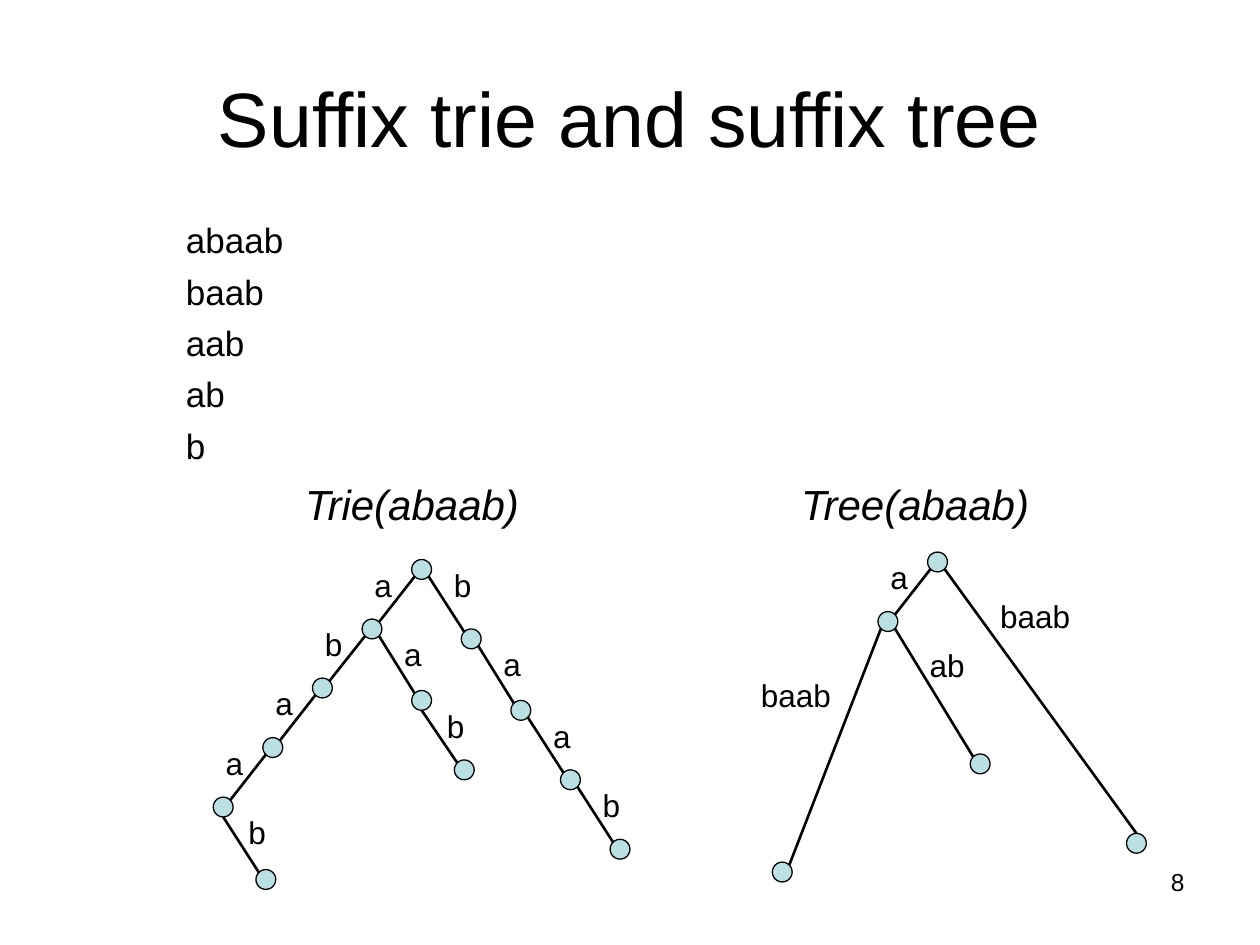
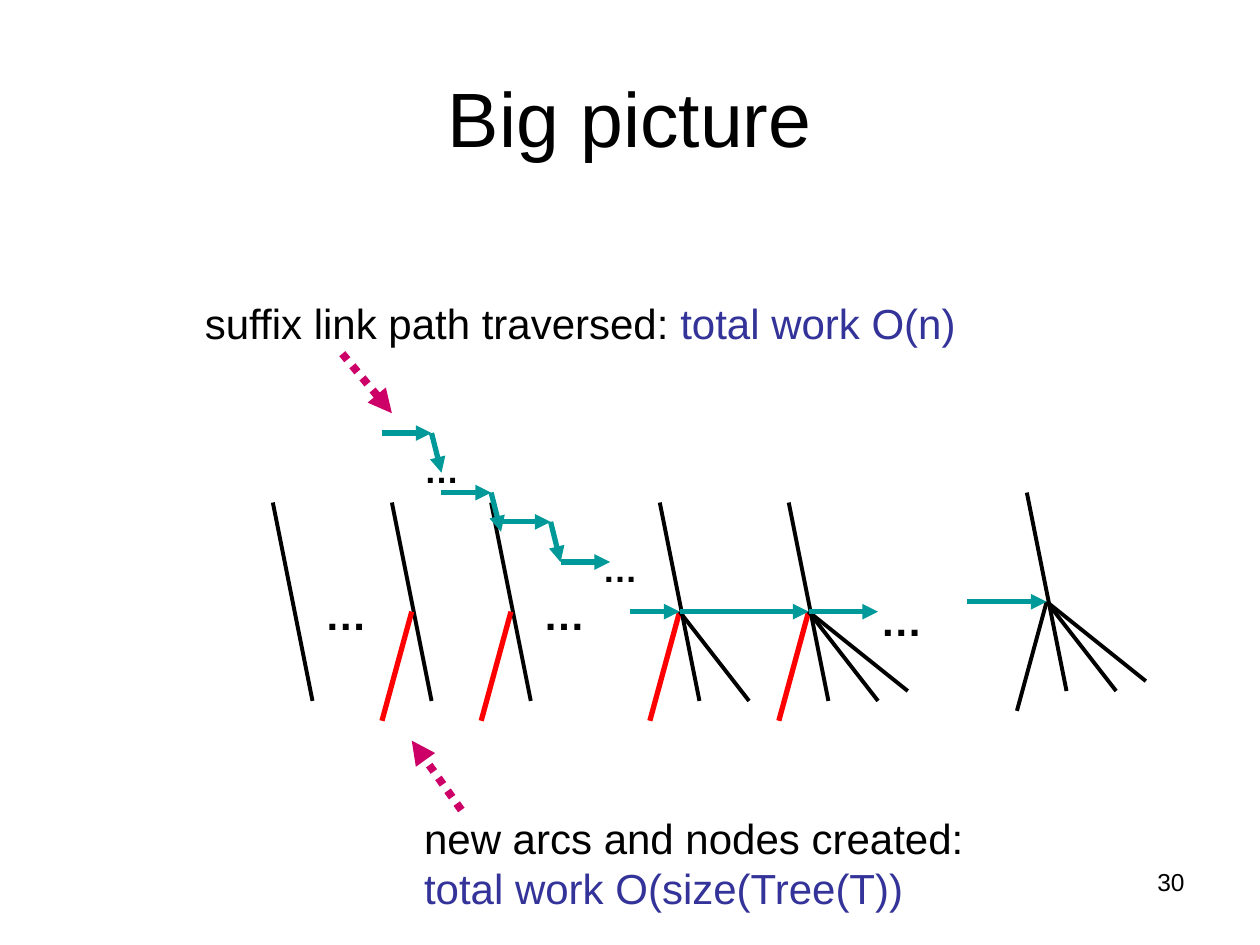
from dataclasses import dataclass
from itertools import pairwise

from lxml.etree import SubElement
from pptx import Presentation
from pptx.dml.color import RGBColor
from pptx.enum.dml import MSO_LINE
from pptx.enum.shapes import MSO_CONNECTOR, MSO_SHAPE
from pptx.enum.text import MSO_ANCHOR, PP_ALIGN
from pptx.oxml.ns import qn
from pptx.util import Cm, Pt


@dataclass(frozen=True)
class Theme:
    font: str = "Arial"
    ink: str = "000000"
    node: str = "BBE0E3"
    new_arc: str = "FF0000"
    suffix_link: str = "009999"
    pointer: str = "CC0066"
    cost: str = "333399"
    title_size: int = 44
    heading_size: int = 24
    list_size: int = 20
    label_size: int = 18
    number_size: int = 14


THEME = Theme()

# All lengths are in centimetres.
SLIDE_SIZE = (25.4, 19.05)
TITLE_PLACE = (1.27, 0.76, 22.86, 3.18)
NUMBER_PLACE = (18.21, 17.35, 5.92, 1.32)

SUFFIXES = ["abaab", "baab", "aab", "ab", "b"]
SUFFIX_PLACE = (3.5, 4.52, 7.8, 4.98)
GRAPH_HEADINGS = [("Trie(abaab)", 5.9), ("Tree(abaab)", 15.9)]

# A node is named by the letters on its path from the root.
TRIE_NODES = {
    "": (8.5, 11.48),
    "a": (7.5, 12.68),
    "ab": (6.5, 13.87),
    "aba": (5.5, 15.07),
    "abaa": (4.5, 16.27),
    "abaab": (5.36, 17.73),
    "aa": (8.5, 14.12),
    "aab": (9.36, 15.52),
    "b": (9.5, 12.88),
    "ba": (10.5, 14.32),
    "baa": (11.5, 15.72),
    "baab": (12.5, 17.12),
}
TRIE_LABELS = {"b": (8.9, 11.28)}
TRIE_SITES = {"abaab": ("bottom", "top left"), "aab": ("bottom", "top left")}

TREE_NODES = {
    "": (18.9, 11.33),
    "a": (17.9, 12.53),
    "abaab": (15.77, 17.58),
    "aab": (19.76, 15.4),
    "baab": (22.91, 17.0),
}
TREE_LABELS = {"abaab": (15.09, 13.51), "aab": (18.49, 12.9), "baab": (19.91, 11.91)}
TREE_SITES = {"baab": ("bottom right", "top")}

NODE_RADIUS = 0.2
DIAGONAL = 0.14
SITES = {
    "top": (0, -NODE_RADIUS),
    "bottom": (0, NODE_RADIUS),
    "top left": (-DIAGONAL, -DIAGONAL),
    "top right": (DIAGONAL, -DIAGONAL),
    "bottom left": (-DIAGONAL, DIAGONAL),
    "bottom right": (DIAGONAL, DIAGONAL),
}

# Offsets from the top of a trunk.
TRUNK_END = (0.8, 4)
JUNCTION = (0.4, 2.2)
ARC_END = (-0.2, 4.4)
BRANCH_ENDS = [(1.8, 4), (2.4, 3.8)]
# Top of the trunk, format of its left arc, number of right branches.
NEW_ARC = {"colour": THEME.new_arc, "width": 3}
TRUNKS = [
    ((5.5, 10.13), None, 0),
    ((7.9, 10.13), NEW_ARC, 0),
    ((9.9, 10.13), NEW_ARC, 0),
    ((13.3, 10.13), NEW_ARC, 1),
    ((15.9, 10.13), NEW_ARC, 2),
    ((20.7, 9.93), {"width": 2.25}, 2),
]
SUFFIX_LINKS = [
    [(7.7, 8.73), (8.7, 8.73), (8.9, 9.53)],
    [(8.9, 9.93), (9.9, 9.93), (10.1, 10.72)],
    [(10.1, 10.52), (11.1, 10.52), (11.3, 11.33), (12.3, 11.33)],
    [(12.7, 12.33), (13.7, 12.33), (16.3, 12.33), (17.7, 12.33)],
    [(19.5, 12.13), (21.1, 12.13)],
]
ELLIPSES = [
    (6.3, 11.73, THEME.heading_size),
    (10.7, 11.73, THEME.heading_size),
    (17.5, 11.87, THEME.heading_size),
    (8.3, 8.92, THEME.list_size),
    (11.9, 10.92, THEME.list_size),
]
NOTES = [
    ("suffix link path traversed: ", "total work O(n)", (3.88, 5.87, 17.4, 1.27)),
    ("new arcs and nodes created: ", "total work O(size(Tree(T))", (8.3, 16.25, 12.2, 2.29)),
]
POINTERS = [((6.9, 7.13), (7.9, 8.33)), ((9.3, 16.33), (8.3, 14.93))]


def rgb(colour):
    return RGBColor.from_string(colour)


def shifted(point, offset):
    return point[0] + offset[0], point[1] + offset[1]


def add_text(slide, text, place, size=THEME.label_size, bold=False, italic=False,
             align=PP_ALIGN.LEFT, anchor=MSO_ANCHOR.TOP, gap=0.625, line_spacing=None):
    """Each line of text is a paragraph; a list of (text, colour) is one paragraph of runs.

    The gap before a paragraph is a share of the type size.
    """
    frame = slide.shapes.add_textbox(*map(Cm, place)).text_frame
    frame.word_wrap = True
    frame.vertical_anchor = anchor
    if isinstance(text, str):
        paragraphs = [[(line, THEME.ink)] for line in text.split("\n")]
    else:
        paragraphs = [text]
    for index, runs in enumerate(paragraphs):
        paragraph = frame.add_paragraph() if index else frame.paragraphs[0]
        paragraph.alignment = align
        paragraph.space_before = Pt(size * gap)
        if line_spacing:
            paragraph.line_spacing = line_spacing
        for words, colour in runs:
            run = paragraph.add_run()
            run.text = words
            run.font.name = THEME.font
            run.font.size = Pt(size)
            run.font.bold = bold
            run.font.italic = italic
            run.font.color.rgb = rgb(colour)


def add_line(slide, start, end, colour=THEME.ink, width=1.5, dash=None, arrow=False):
    connector = slide.shapes.add_connector(MSO_CONNECTOR.STRAIGHT, *map(Cm, (*start, *end)))
    connector.line.color.rgb = rgb(colour)
    connector.line.width = Pt(width)
    if dash:
        connector.line.dash_style = dash
    properties = connector._element.spPr
    if arrow:
        SubElement(properties.find(qn("a:ln")), qn("a:tailEnd"), type="triangle")
    SubElement(properties, qn("a:effectLst"))


def add_node(slide, centre):
    corner = shifted(centre, (-NODE_RADIUS, -NODE_RADIUS))
    size = 2 * NODE_RADIUS
    shape = slide.shapes.add_shape(MSO_SHAPE.OVAL, *map(Cm, (*corner, size, size)))
    shape.shadow.inherit = False
    shape.fill.solid()
    shape.fill.fore_color.rgb = rgb(THEME.node)
    shape.line.color.rgb = rgb(THEME.ink)
    shape.line.width = Pt(0.75)


def add_graph(slide, nodes, label_places, sites):
    """Join each node to its longest proper prefix and label the edge with the rest."""
    for centre in nodes.values():
        add_node(slide, centre)
    for name, child in nodes.items():
        if not name:
            continue
        prefix = max((other for other in nodes if other != name and name.startswith(other)), key=len)
        parent = nodes[prefix]
        if child[0] < parent[0]:
            ends = ("bottom left", "top right")
            label_corner = (child[0] - 0.2, parent[1] - 0.2)
        else:
            ends = ("bottom right", "top left")
            label_corner = (child[0] - 0.6, parent[1])
        begin, end = sites.get(name, ends)
        add_line(slide, shifted(parent, SITES[begin]), shifted(child, SITES[end]))
        label = name[len(prefix):]
        corner = label_places.get(name, label_corner)
        add_text(slide, label, (*corner, 0.6 + 0.6 * len(label), 1.02))


def add_trunk(slide, top, arc_format, branch_count):
    junction = shifted(top, JUNCTION)
    add_line(slide, top, shifted(top, TRUNK_END), width=2.25)
    if arc_format:
        add_line(slide, junction, shifted(top, ARC_END), **arc_format)
    for offset in BRANCH_ENDS[:branch_count]:
        add_line(slide, junction, shifted(top, offset), width=2.25)


def add_slide(presentation, title, number):
    slide = presentation.slides.add_slide(presentation.slide_layouts[6])
    add_text(slide, title, TITLE_PLACE, size=THEME.title_size, gap=0,
             align=PP_ALIGN.CENTER, anchor=MSO_ANCHOR.MIDDLE)
    add_text(slide, str(number), NUMBER_PLACE, size=THEME.number_size, gap=0,
             align=PP_ALIGN.RIGHT)
    return slide


def add_suffix_slide(presentation):
    slide = add_slide(presentation, "Suffix trie and suffix tree", 8)
    add_graph(slide, TRIE_NODES, TRIE_LABELS, TRIE_SITES)
    add_graph(slide, TREE_NODES, TREE_LABELS, TREE_SITES)
    add_text(slide, "\n".join(SUFFIXES), SUFFIX_PLACE, size=THEME.list_size, line_spacing=0.7)
    for heading, left in GRAPH_HEADINGS:
        add_text(slide, heading, (left, 9.53, 6.4, 1.27), size=THEME.heading_size, italic=True)


def add_big_picture_slide(presentation):
    slide = add_slide(presentation, "Big picture", 30)
    for trunk in TRUNKS:
        add_trunk(slide, *trunk)
    for points in SUFFIX_LINKS:
        for start, end in pairwise(points):
            add_line(slide, start, end, colour=THEME.suffix_link, width=3, arrow=True)
    for left, top, size in ELLIPSES:
        add_text(slide, "…", (left, top, 3.2, 1.2), size=size, bold=True)
    for work, cost, place in NOTES:
        add_text(slide, [(work, THEME.ink), (cost, THEME.cost)], place, size=THEME.heading_size)
    for start, end in POINTERS:
        add_line(slide, start, end, colour=THEME.pointer, width=4.5,
                 dash=MSO_LINE.ROUND_DOT, arrow=True)


def main():
    presentation = Presentation()
    presentation.slide_width, presentation.slide_height = map(Cm, SLIDE_SIZE)
    add_suffix_slide(presentation)
    add_big_picture_slide(presentation)
    presentation.save("out.pptx")


if __name__ == "__main__":
    main()
